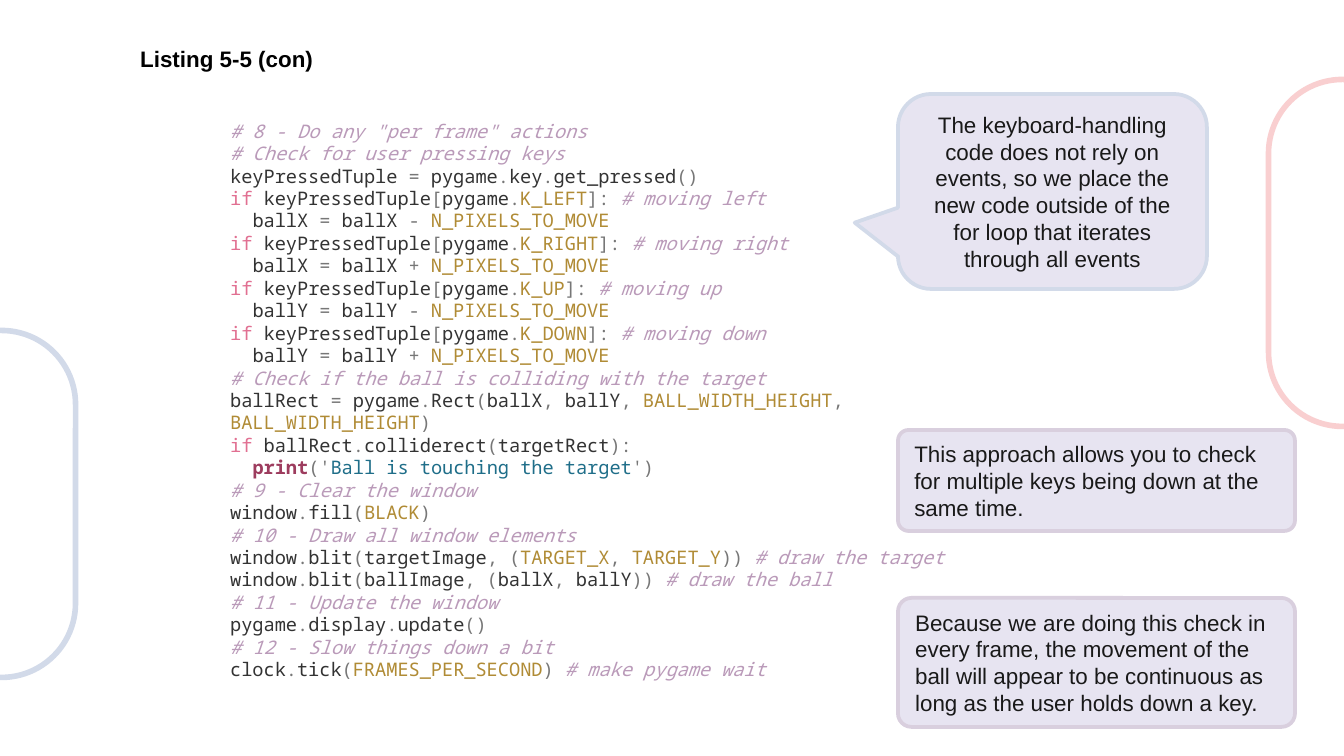
from itertools import groupby

from pptx import Presentation
from pptx.dml.color import RGBColor
from pptx.enum.shapes import MSO_SHAPE
from pptx.enum.text import MSO_ANCHOR, PP_ALIGN
from pptx.util import Emu, Pt

EMU_PER_PX = 9144000 / 1344

INK = "191919"
LAVENDER = "E7E4F1"
BLUE = "D2DAE9"
PINK = "F9CFD0"
MAUVE = "D9CFDE"

NAME = "333333"
SYMBOL = "777777"
CONSTANT = "B08B35"
STRING = "1F6E89"
COMMENT = "BA9AB9"
BUILTIN = "9D3C5E"
WORD_COLORS = {"if": "E17092", "print": BUILTIN}

CODE_LINES = [
    '# 8 - Do any "per frame" actions',
    "# Check for user pressing keys",
    "keyPressedTuple = pygame.key.get_pressed()",
    "if keyPressedTuple[pygame.K_LEFT]: # moving left",
    "  ballX = ballX - N_PIXELS_TO_MOVE",
    "if keyPressedTuple[pygame.K_RIGHT]: # moving right",
    "  ballX = ballX + N_PIXELS_TO_MOVE",
    "if keyPressedTuple[pygame.K_UP]: # moving up",
    "  ballY = ballY - N_PIXELS_TO_MOVE",
    "if keyPressedTuple[pygame.K_DOWN]: # moving down",
    "  ballY = ballY + N_PIXELS_TO_MOVE",
    "# Check if the ball is colliding with the target",
    "ballRect = pygame.Rect(ballX, ballY, BALL_WIDTH_HEIGHT, BALL_WIDTH_HEIGHT)",
    "if ballRect.colliderect(targetRect):",
    "  print('Ball is touching the target')",
    "# 9 - Clear the window",
    "window.fill(BLACK)",
    "# 10 - Draw all window elements",
    "window.blit(targetImage, (TARGET_X, TARGET_Y)) # draw the target",
    "window.blit(ballImage, (ballX, ballY)) # draw the ball",
    "# 11 - Update the window",
    "pygame.display.update()",
    "# 12 - Slow things down a bit",
    "clock.tick(FRAMES_PER_SECOND) # make pygame wait",
]


def px(length):
    return Emu(round(length * EMU_PER_PX))


def color(value):
    return RGBColor.from_string(value)


def in_word(letter):
    return letter.isalnum() or letter == "_"


def word_color(word):
    return WORD_COLORS.get(word, CONSTANT if word.isupper() else NAME)


def colored_tokens(line):
    code, mark, comment = line.partition("#")
    for index, part in enumerate(code.split("'")):
        if index:
            yield "'", SYMBOL
        if index % 2:
            yield part, STRING
            continue
        for is_word, letters in groupby(part, in_word):
            token = "".join(letters)
            yield token, word_color(token) if is_word else SYMBOL
    if mark:
        yield mark + comment, COMMENT


def add_span(para, text, size=12, font="Arial", ink=INK, bold=False, italic=False):
    span = para.add_run()
    span.text = text
    span.font.size = Pt(size)
    span.font.name = font
    span.font.color.rgb = color(ink)
    span.font.bold = bold
    span.font.italic = italic


class SlideWriter:
    def __init__(self, deck):
        self.font = "Arial"
        self.code_font = "Noto Sans Mono"
        self.page = deck.slides.add_slide(deck.slide_layouts[6])

    def text_box(self, left, top, width, height):
        box = self.page.shapes.add_textbox(px(left), px(top), px(width), px(height))
        box.text_frame.word_wrap = True
        return box.text_frame

    def title(self, text, *bounds):
        frame = self.text_box(*bounds)
        add_span(frame.paragraphs[0], text, font=self.font, ink="000000", bold=True)

    def code(self, lines, *bounds):
        frame = self.text_box(*bounds)
        for index, line in enumerate(lines):
            para = frame.add_paragraph() if index else frame.paragraphs[0]
            for token, ink in colored_tokens(line):
                add_span(para, token, size=10, font=self.code_font, ink=ink,
                         bold=ink == BUILTIN, italic=ink == COMMENT)

    def shape(self, kind, left, top, width, height, adjustments, line, weight):
        shape = self.page.shapes.add_shape(kind, px(left), px(top), px(width), px(height))
        shape.shadow.inherit = False
        for index, value in enumerate(adjustments):
            shape.adjustments[index] = value
        shape.line.color.rgb = color(line)
        shape.line.width = Pt(weight)
        return shape

    def side_frame(self, left, top, line):
        frame = self.shape(MSO_SHAPE.ROUNDED_RECTANGLE, left, top, 347, 148, [0.5], line, 3)
        frame.fill.background()
        frame.rotation = 90

    def note(self, text, *bounds, kind=MSO_SHAPE.ROUNDED_RECTANGLE,
             adjustments=(0.105,), line=MAUVE, align=PP_ALIGN.LEFT):
        note = self.shape(kind, *bounds, adjustments, line, 2)
        note.fill.solid()
        note.fill.fore_color.rgb = color(LAVENDER)
        frame = note.text_frame
        frame.word_wrap = True
        frame.vertical_anchor = MSO_ANCHOR.MIDDLE
        para = frame.paragraphs[0]
        para.alignment = align
        add_span(para, text, font=self.font)

    def callout(self, text, *bounds):
        self.note(text, *bounds, kind=MSO_SHAPE.ROUNDED_RECTANGULAR_CALLOUT,
                  adjustments=(-0.64, 0.16, 0.17), line=BLUE, align=PP_ALIGN.CENTER)


def main():
    deck = Presentation()
    deck.slide_width, deck.slide_height = px(1344), px(756)
    writer = SlideWriter(deck)
    writer.side_frame(-172, 430, BLUE)
    writer.side_frame(1169, 179, PINK)
    writer.title("Listing 5-5 (con)", 127, 39, 749, 41)
    writer.code(CODE_LINES, 217, 113, 748, 579)
    writer.callout(
        "The keyboard-handling code does not rely on events, so we place the new code "
        "outside of the for loop that iterates through all events", 898, 94, 309, 195)
    writer.note(
        "Because we are doing this check in every frame, the movement of the ball will "
        "appear to be continuous as long as the user holds down a key.", 898, 598, 397, 129)
    writer.note(
        "This approach allows you to check for multiple keys being down at the same time.",
        898, 430, 397, 101)
    deck.save("out.pptx")


if __name__ == "__main__":
    main()
